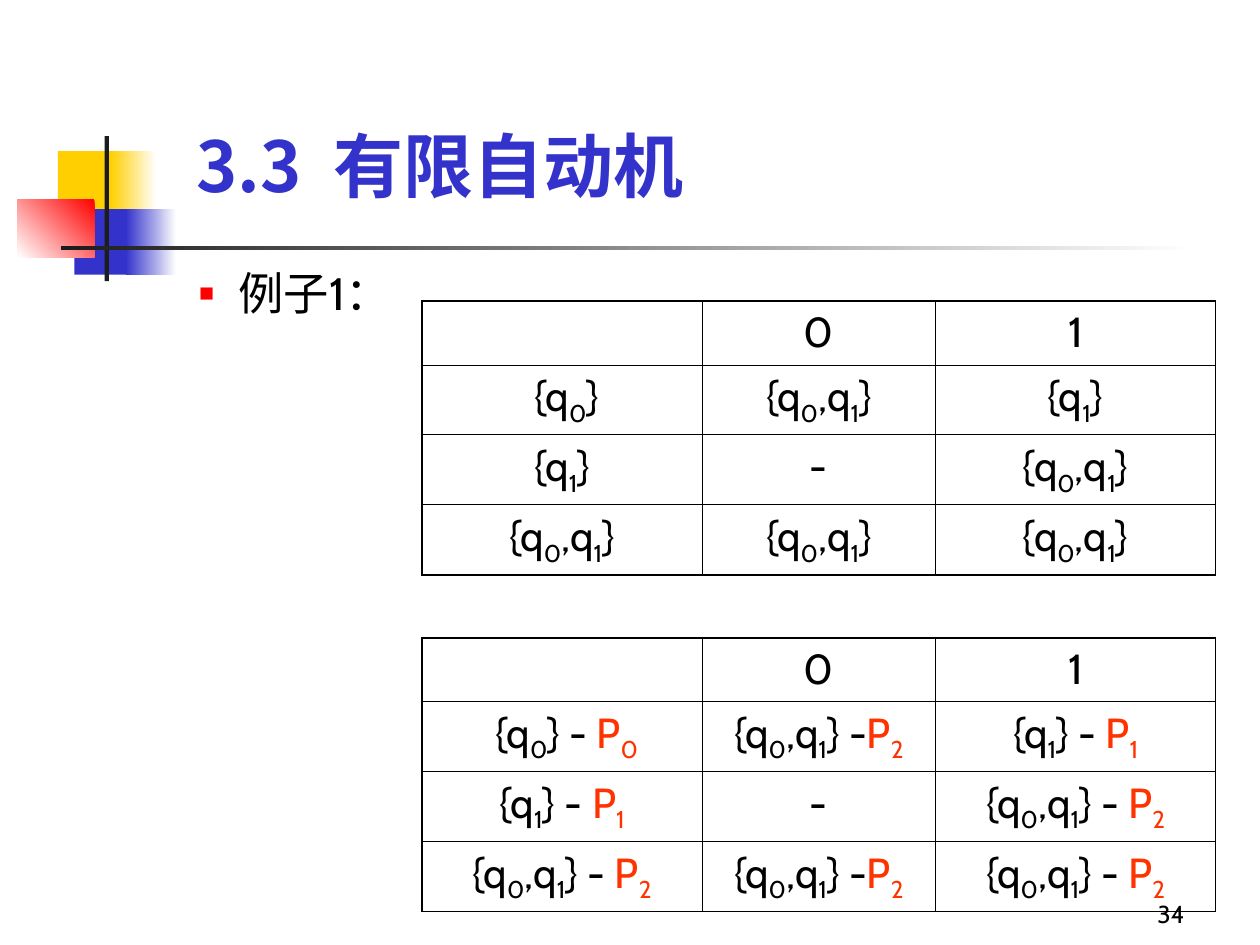
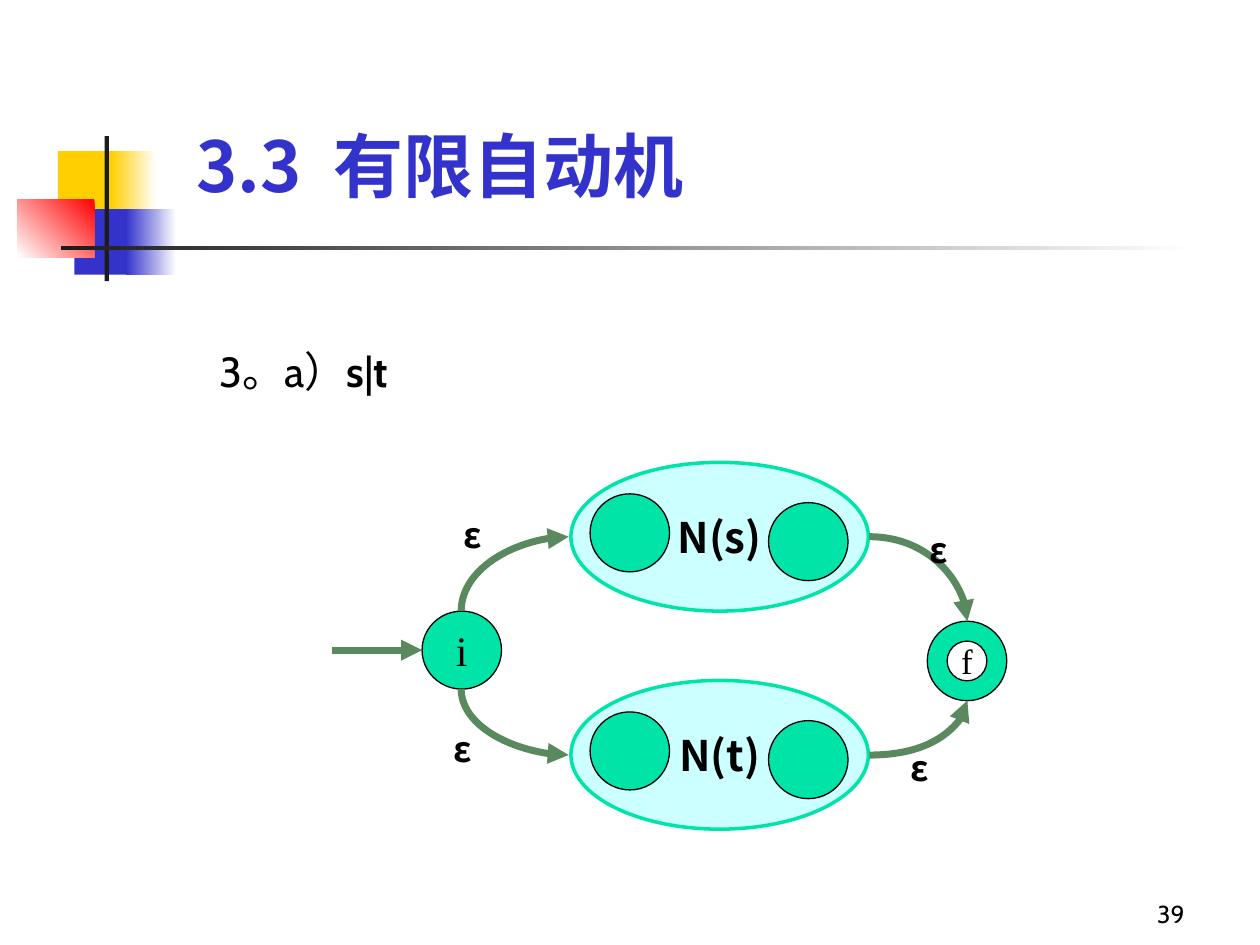
import pptx
import pptx.chart.data
import pptx.dml.color
import pptx.enum.shapes
import pptx.enum.text
import pptx.oxml
import pptx.oxml.ns
import pptx.util
import lxml.etree

Pt = pptx.util.Pt
KIND = pptx.enum.shapes.MSO_SHAPE
LINE = pptx.enum.shapes.MSO_CONNECTOR
ALIGN = pptx.enum.text.PP_ALIGN
ANCHOR = pptx.enum.text.MSO_ANCHOR
SIZE = pptx.enum.text.MSO_AUTO_SIZE

BLACK, WHITE, RED = "000000", "FFFFFF", "FF0000"
GOLD, BLUE, DARK = "FFCF01", "3333CC", "1C1C1C"
GREEN, PALE, MOSS, MARK = "00E4A8", "CCFFFF", "5B895F", "FF3300"
SANS, CJK, SERIF = "Cabin", "Noto Sans CJK SC", "Times New Roman"

BANDS = [
    ((33.1, 86.4, 34.6, 37.4), GOLD, None),
    ((63.4, 86.4, 25.9, 37.4), (WHITE, GOLD), 180),
    ((42.5, 119.5, 33.1, 37.4), BLUE, None),
    ((72, 119.5, 28.8, 37.4), (WHITE, BLUE), 180),
    ((10, 113.8, 44, 33.1), (RED, WHITE), 225),
    ((59.8, 77.8, 2.4, 82.8), DARK, None),
    ((34.6, 140.4, 648, 2.4), (WHITE, DARK), 180),
]
HEAD = ["", "0", "1"]
MOVES = [
    [" {q_0}", "{q_0,q_1}", "{q_1}"],
    ["{q_1}", "-", "{q_0,q_1}"],
    ["{q_0,q_1}", "{q_0,q_1}", "{q_0,q_1}"],
]
NAMES = {"{q_0}": "P_0", "{q_1}": "P_1", "{q_0,q_1}": "P_2"}


def tint(code):
    return pptx.dml.color.RGBColor.from_string(code)


def put(item, **vals):
    for key, val in vals.items():
        setattr(item, key, val)


def place(item, box):
    put(item, **dict(zip(("left", "top", "width", "height"), map(Pt, box))))


def tag(home, name, **vals):
    node = lxml.etree.SubElement(home, pptx.oxml.ns.qn(name))
    for key, val in vals.items():
        node.set(key, str(val))
    return node


def add_run(para, text, size, face=SANS, color=BLACK, bold=False, base=0):
    run = para.add_run()
    run.text = text
    put(run.font, size=Pt(size), name=face, bold=bold)
    run.font.color.rgb = tint(color)
    props = run._r.get_or_add_rPr()
    tag(props, "a:ea", typeface=CJK)
    if base:
        props.set("baseline", str(base * 1000))


def add_box(slide, box, text, size, face=SANS, bold=False, align=ALIGN.CENTER,
            fit=SIZE.NONE):
    frame = slide.shapes.add_textbox(*map(Pt, box)).text_frame
    put(frame, word_wrap=True, auto_size=fit, vertical_anchor=ANCHOR.BOTTOM)
    para = frame.paragraphs[0]
    para.alignment = align
    add_run(para, text, size, face, bold=bold)


def add_form(slide, kind, box, fill, angle=None, edge=None, width=0.75):
    form = slide.shapes.add_shape(kind, *map(Pt, box))
    form.shadow.inherit = False
    if angle is None:
        form.fill.solid()
        form.fill.fore_color.rgb = tint(fill)
    else:
        form.fill.gradient()
        form.fill.gradient_angle = angle
        for stop, code in zip(form.fill.gradient_stops, fill):
            stop.color.rgb = tint(code)
    if edge:
        form.line.color.rgb = tint(edge)
        form.line.width = Pt(width)
    else:
        form.line.fill.background()
    return form


def label(form, text, size, face, bold=False):
    frame = form.text_frame
    put(frame, word_wrap=False, vertical_anchor=ANCHOR.MIDDLE)
    para = frame.paragraphs[0]
    para.alignment = ALIGN.CENTER
    add_run(para, text, size, face, bold=bold)


def add_arrow(slide, start, end, kind=LINE.CURVE, tip="a:tailEnd"):
    arrow = slide.shapes.add_connector(kind, *map(Pt, start + end))
    put(arrow.line, width=Pt(4))
    arrow.line.color.rgb = tint(MOSS)
    props = arrow._element.spPr
    if kind == LINE.CURVE:
        props.find(pptx.oxml.ns.qn("a:prstGeom")).set("prst", "curvedConnector2")
    tag(arrow.line._get_or_add_ln(), tip, type="triangle")
    tag(props, "a:effectLst")


def add_page(deck, number):
    slide = deck.slides.add_slide(deck.slide_layouts[1])
    for box, fill, angle in BANDS:
        add_form(slide, KIND.RECTANGLE, box, fill, angle)
    title = slide.shapes.title
    place(title, (105.1, 54.7, 374.4, 67))
    put(title.text_frame, vertical_anchor=ANCHOR.BOTTOM, auto_size=SIZE.NONE)
    para = title.text_frame.paragraphs[0]
    para.alignment = ALIGN.LEFT
    add_run(para, "3.3  有限自动机", 40, CJK, BLUE, True)
    return slide, lambda: add_box(slide, (534.2, 498.2, 149.8, 36), str(number),
                                  14, align=ALIGN.RIGHT)


def fill_body(slide, box, runs, size, lines, before, mark=None):
    body = slide.placeholders[1]
    place(body, box)
    put(body.text_frame, vertical_anchor=ANCHOR.TOP, auto_size=SIZE.NONE)
    para = body.text_frame.paragraphs[0]
    put(para, line_spacing=lines, space_before=Pt(before))
    props = para._p.get_or_add_pPr()
    put_in = {"marL": Pt(58.5), "indent": Pt(-22.5)}
    for key, val in put_in.items():
        props.set(key, str(int(val)))
    if mark:
        tag(tag(props, "a:buClr"), "a:srgbClr", val=RED)
        tag(props, "a:buSzPct", val=55000)
        tag(props, "a:buFont", typeface="Arial")
        tag(props, "a:buChar", char=mark)
    else:
        tag(props, "a:buNone")
    for text, bold in runs:
        add_run(para, text, size, bold=bold)


def add_state(para, text):
    color = BLACK
    for spot, piece in enumerate(text.split("_")):
        if spot:
            add_run(para, piece[0], 24, color=color, base=-25)
            piece = piece[1:]
        plain, name, _ = piece.partition("P")
        if plain:
            add_run(para, plain, 24)
        if name:
            color = MARK
            add_run(para, name, 24, color=color)


def add_edges(cell, outer):
    props = cell._tc.get_or_add_tcPr()
    for side in "LRTB":
        width = 1.08 if side in outer else 0.45
        line = tag(props, "a:ln" + side, w=int(Pt(width)))
        tag(tag(line, "a:solidFill"), "a:srgbClr", val=BLACK)


def add_grid(slide, top, rows):
    wide, high = (160, 133.5, 160), (36.5, 40, 40, 40)
    grid = slide.shapes.add_table(len(rows), len(wide), *map(
        Pt, (241.2, top, sum(wide), sum(high)))).table
    put(grid, first_row=False, horz_banding=False)
    for col, width in zip(grid.columns, wide):
        col.width = Pt(width)
    for y, (row, height) in enumerate(zip(rows, high)):
        grid.rows[y].height = Pt(height)
        for x, text in enumerate(row):
            cell = grid.cell(y, x)
            hits = {"L": x == 0, "R": x == len(wide) - 1,
                    "T": y == 0, "B": y == len(rows) - 1}
            add_edges(cell, [side for side, hit in hits.items() if hit])
            cell.fill.background()
            para = cell.text_frame.paragraphs[0]
            put(para, alignment=ALIGN.CENTER, space_before=Pt(6))
            if text:
                add_state(para, text)


def with_name(x, text):
    name = NAMES.get(text.strip())
    dash = " -" if x == 1 else " - "
    return text + dash + name if name else text


def draw_moves(deck):
    slide, add_foot = add_page(deck, 34)
    fill_body(slide, (70.6, 151.2, 589.7, 39.6), [("例子1：", False)],
              25.9, 0.9, 7, "■")
    named = [[with_name(x, text) for x, text in enumerate(row)] for row in MOVES]
    add_grid(slide, 172, [HEAD] + MOVES)
    add_grid(slide, 364.4, [HEAD] + named)
    add_foot()


def draw_union(deck):
    slide, add_foot = add_page(deck, 39)
    runs = [("3。a）", False), ("s", True), ("|", False), ("t", True)]
    fill_body(slide, (82.1, 190.8, 238.3, 39.6), runs, 24, 1.1, 6)
    final = add_form(slide, KIND.DONUT, (529.9, 355, 45.4, 45.4), GREEN, edge=BLACK)
    final.adjustments[0] = 0.25
    label(final, "f", 20, SERIF)
    first = add_form(slide, KIND.OVAL, (241.2, 349.2, 45.4, 44.6), GREEN, edge=BLACK)
    label(first, "i", 24, SERIF)
    for step, text in enumerate(("N(s)", "N(t)")):
        drop = step * 124.6
        part = add_form(slide, KIND.OVAL, (326.2, 264.2 + drop, 170, 85), PALE,
                        edge=GREEN, width=2)
        label(part, text, 24, CJK, True)
        for left, top in ((337.2, 282.2), (439.2, 287.2)):
            add_form(slide, KIND.OVAL, (left, top + drop, 45.4, 44.6), GREEN,
                     edge=BLACK)
    add_arrow(slide, (190, 371.5), (241.2, 371.5), LINE.STRAIGHT)
    for level, leave, reach in ((306.7, 349.2, 355), (431.5, 393.8, 400.4)):
        add_arrow(slide, (325, level), (263.6, leave), tip="a:headEnd")
        add_arrow(slide, (496.8, level), (552.8, reach))
    for spot in ((257.8, 289.4), (252, 411.8), (524.2, 298.1), (513.4, 422.6)):
        add_box(slide, spot + (23, 31.7), "ε", 20, CJK, True,
                fit=SIZE.SHAPE_TO_FIT_TEXT)
    add_foot()


def main():
    deck = pptx.Presentation()
    put(deck, slide_width=Pt(720), slide_height=Pt(540))
    draw_moves(deck)
    draw_union(deck)
    deck.save("out.pptx")


if __name__ == "__main__":
    main()
